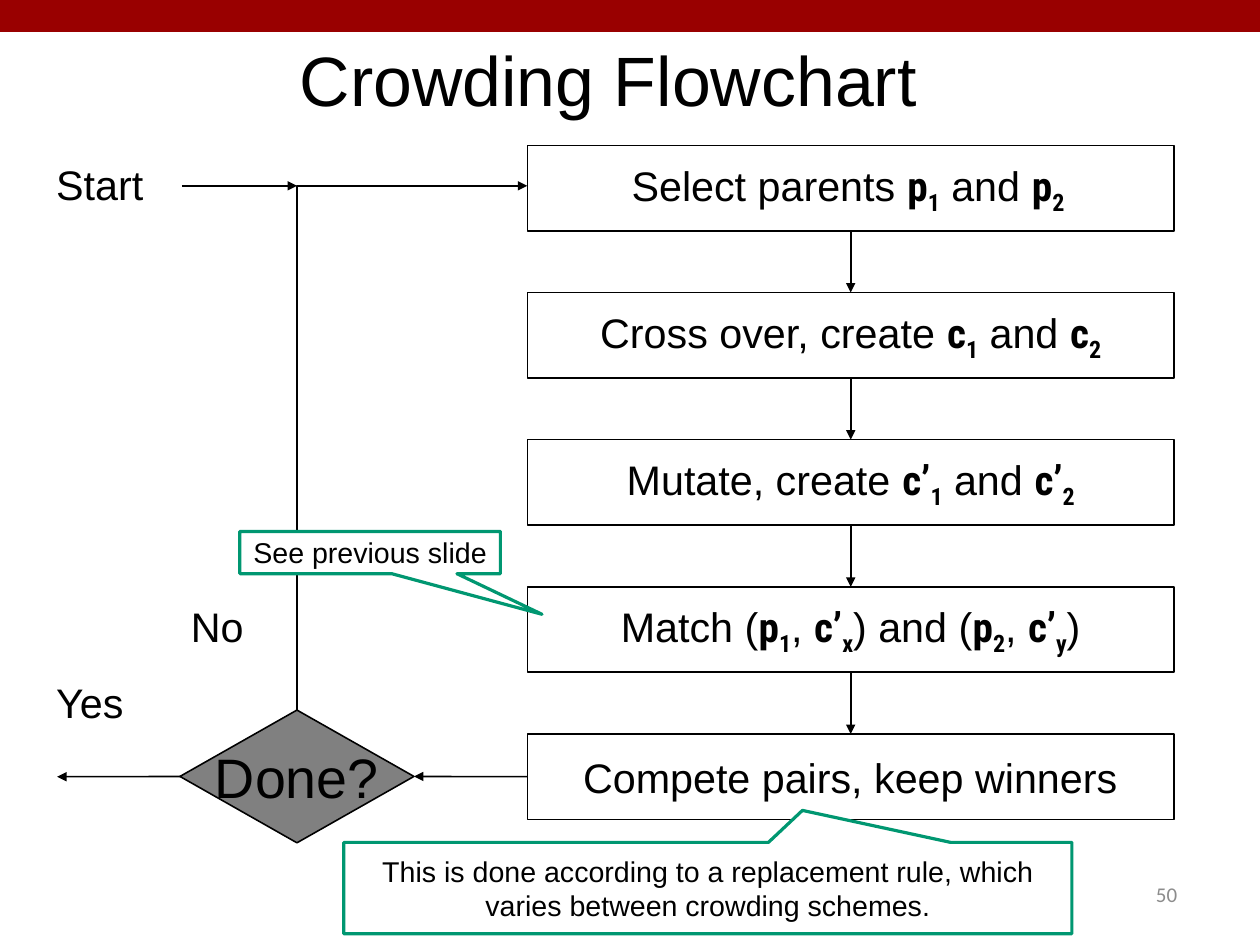
import itertools

import pptx
import pptx.dml.color
import pptx.enum.shapes
import pptx.enum.text
import pptx.oxml.ns
import pptx.util
from lxml import etree

Cm = pptx.util.Cm
SHAPE = pptx.enum.shapes.MSO_SHAPE
ALIGN = pptx.enum.text.PP_ALIGN
ANCHOR = pptx.enum.text.MSO_ANCHOR
TOP, LEFT, BOTTOM, RIGHT = range(4)  # connection sites

BLACK, WHITE, GREEN = "000000", "FFFFFF", "009771"
STEPS = [
    "Select parents |p|1| and |p|2 ",
    "Cross over, create |c|1| and |c|2",
    "Mutate, create |c’|1| and |c’|2",
    "Match (|p|1|, |c’|x|) and (|p|2|, |c’|y|)",
    "Compete pairs, keep winners",
]


def rgb(value):
    return pptx.dml.color.RGBColor.from_string(value)


def write(sp, text, size, align=ALIGN.CENTER, anchor=ANCHOR.MIDDLE,
          wrap=False, font="Arial", color=BLACK):
    """Fill a shape with text whose '|' parts cycle plain, bold, subscript."""
    tf = sp.text_frame
    tf.word_wrap = wrap
    tf.vertical_anchor = anchor
    tf.margin_left = tf.margin_right = Cm(0.28)
    tf.margin_top = tf.margin_bottom = Cm(0.15)
    p = tf.paragraphs[0]
    p.alignment = align
    for part, style in zip(text.split("|"), itertools.cycle(("plain", "bold", "sub"))):
        r = p.add_run()
        r.text = part
        r.font.size = pptx.util.Pt(size)
        r.font.name = font if style == "plain" else "Roboto Condensed"
        r.font.bold = style != "plain"
        r.font.color.rgb = rgb(color)
        if style == "sub":
            r._r.get_or_add_rPr().set("baseline", "-25000")


def add_box(s, kind, x, y, w, h, fill=WHITE, line=BLACK, weight=1):
    sp = s.shapes.add_shape(kind, Cm(x), Cm(y), Cm(w), Cm(h))
    sp.shadow.inherit = False
    sp.fill.solid()
    sp.fill.fore_color.rgb = rgb(fill)
    if line:
        sp.line.color.rgb = rgb(line)
        sp.line.width = pptx.util.Pt(weight)
    else:
        sp.line.fill.background()
    return sp


def add_label(s, text, x, y, w, h, size, **style):
    sp = s.shapes.add_textbox(Cm(x), Cm(y), Cm(w), Cm(h))
    write(sp, text, size, **style)
    return sp


def add_callout(s, text, x, y, w, h, tip):
    """Draw a callout; tip is the offset from its centre in widths and heights."""
    sp = add_box(s, SHAPE.RECTANGULAR_CALLOUT, x, y, w, h, line=GREEN, weight=2)
    sp.adjustments[0], sp.adjustments[1] = tip
    write(sp, text, 18, wrap=True)


def style_arrow(sp):
    sp.line.color.rgb = rgb(BLACK)
    sp.line.width = pptx.util.Pt(1)
    ln = sp.line._get_or_add_ln()
    etree.SubElement(ln, pptx.oxml.ns.qn("a:tailEnd"), type="triangle")


def add_arrow(s, x1, y1, x2, y2, start=None, end=None):
    """Draw an arrow; start and end are (shape, site) pairs to glue it to."""
    c = s.shapes.add_connector(pptx.enum.shapes.MSO_CONNECTOR.STRAIGHT,
                               Cm(x1), Cm(y1), Cm(x2), Cm(y2))
    if start:
        c.begin_connect(*start)
    if end:
        c.end_connect(*end)
    style_arrow(c)
    etree.SubElement(c._element.spPr, pptx.oxml.ns.qn("a:effectLst"))


def add_return_path(s, x1, y1, x2, y2):
    """Draw the arrow that goes up from the decision, then right."""
    builder = s.shapes.build_freeform(Cm(x1), Cm(y1))
    builder.add_line_segments([(Cm(x1), Cm(y2)), (Cm(x2), Cm(y2))], close=False)
    sp = builder.convert_to_shape()
    sp.shadow.inherit = False
    sp.fill.background()
    style_arrow(sp)


def add_header(s, x, y, w):
    add_box(s, SHAPE.RECTANGLE, x, y, w, 0.71, fill="990000", line=None)
    add_label(s, "Crowding Flowchart", x + 0.66, y + 0.36, 25.73, 2.77, 44, wrap=True)


def add_steps(s, x, y, w, h, pitch):
    """Stack the process boxes, join them with arrows and return the last."""
    previous = None
    for i, text in enumerate(STEPS):
        top = y + i * pitch
        sp = add_box(s, SHAPE.FLOWCHART_PROCESS, x, top, w, h)
        write(sp, text, 26)
        if previous:
            add_arrow(s, x + w / 2, top - pitch + h, x + w / 2, top,
                      (previous, BOTTOM), (sp, TOP))
        previous = sp
    return previous


def add_loop(s, x, y, steps_x, last_step):
    """Draw the start, the decision and its two exits, left of the steps."""
    middle, row = x + 6.6, y + 14.08
    done = add_box(s, SHAPE.FLOWCHART_DECISION, middle - 2.6, row - 1.48, 5.2, 2.95,
                   fill="808080")
    write(done, "Done?", 35)
    for text, dx, dy, w in (("Start", 0.97, 0.2, 2.51), ("Yes", 0.97, 11.73, 2.08),
                            ("No", 3.96, 10.03, 1.75)):
        add_label(s, text, x + dx, y + dy, w, 1.4, 26,
                  align=ALIGN.LEFT, anchor=ANCHOR.TOP)
    add_return_path(s, middle, row - 1.48, steps_x, y + 0.95)
    add_arrow(s, x + 4.04, y + 0.95, middle, y + 0.95)
    add_arrow(s, middle - 2.6, row, x + 1.27, row, start=(done, LEFT))
    add_arrow(s, steps_x, row, middle + 2.6, row, (last_step, LEFT), (done, RIGHT))


def add_notes_on_steps(s, x, y):
    add_callout(s, "This is done according to a replacement rule, which varies "
                   "between crowding schemes.",
                x + 2.31, y + 6.91, 16.18, 2.03, (0.13, -0.85))
    add_callout(s, "See previous slide", x, y, 5.79, 0.94, (0.66, 1.46))


def add_page_number(s, x, y):
    sp = add_label(s, "50", x, y, 1.65, 1.3, 13.2, align=ALIGN.RIGHT,
                   anchor=ANCHOR.TOP, font="Calibri", color="8C8C8C")
    tf = sp.text_frame
    tf.margin_left = tf.margin_right = tf.margin_top = tf.margin_bottom = 0


def main():
    prs = pptx.Presentation()
    prs.slide_width, prs.slide_height = Cm(28), Cm(21)
    s = prs.slides.add_slide(prs.slide_layouts[6])
    add_header(s, 0, 0, 28)
    last_step = add_steps(s, 11.72, 3.23, 14.37, 1.9, 3.27)
    add_loop(s, 0, 3.18, 11.72, last_step)
    add_notes_on_steps(s, 5.33, 11.81)
    add_page_number(s, 24.51, 19.58)
    prs.save("out.pptx")


if __name__ == "__main__":
    main()
